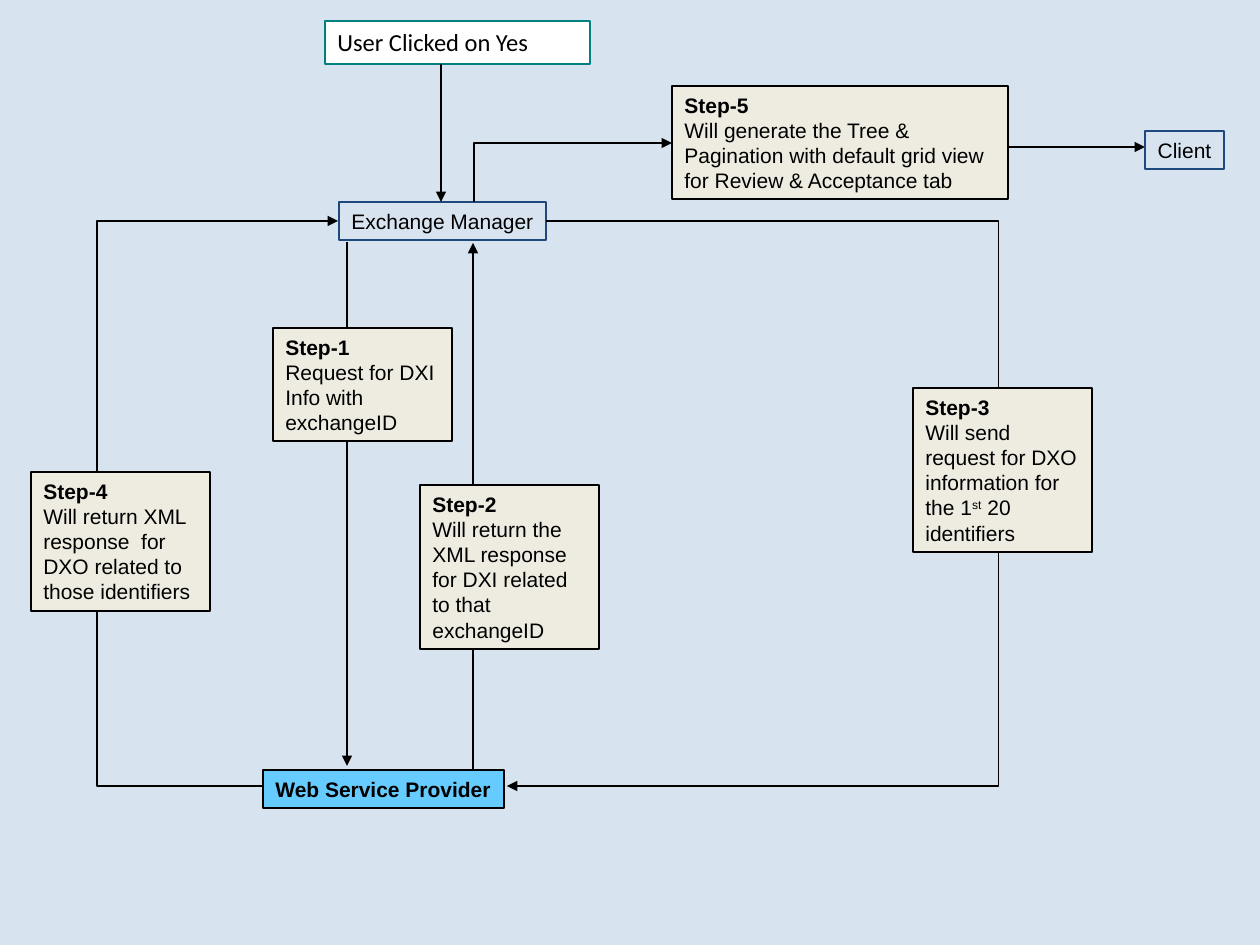
from dataclasses import dataclass

from lxml import etree
from pptx import Presentation
from pptx import util as u
from pptx.dml.color import RGBColor
from pptx.enum import shapes, text
from pptx.oxml.ns import qn

SCALE = u.Inches(1) / 126
RECT = shapes.MSO_SHAPE.RECTANGLE
PROC = shapes.MSO_SHAPE.FLOWCHART_PROCESS
LINE = shapes.MSO_CONNECTOR.STRAIGHT
ELBOW = shapes.MSO_CONNECTOR.ELBOW


@dataclass(frozen=True)
class Theme:
    back: str = "D8E3F0"
    ink: str = "000000"
    start: str = "FFFFFF"
    teal: str = "008080"
    navy: str = "1F497D"
    step: str = "EEECE1"
    host: str = "66CCFF"
    font: str = "Arial"
    head: str = "Calibri"
    size: int = 12
    big: int = 14
    rule: float = 0.75


def px(n):
    return u.Emu(round(n * SCALE))


def rgb(code):
    return RGBColor.from_string(code)


def write(para, words, font, size, color, bold=False, raised=False):
    run = para.add_run()
    run.text = words
    run.font.name = font
    run.font.size = u.Pt(size)
    run.font.bold = bold
    run.font.color.rgb = rgb(color)
    if raised:
        run.font._element.set("baseline", "30000")


class Chart:
    """Flow chart on one slide, measured in px."""

    def __init__(self, slide, theme):
        self.slide = slide
        self.theme = theme
        fill = slide.background.fill
        fill.solid()
        fill.fore_color.rgb = rgb(theme.back)

    def box(self, left, top, wide, high, fill=None, edge=None, kind=RECT, wrap=True):
        """Draw a bordered box and return its empty text frame."""
        shape = self.slide.shapes.add_shape(kind, px(left), px(top), px(wide), px(high))
        shape.shadow.inherit = False
        if fill:
            shape.fill.solid()
            shape.fill.fore_color.rgb = rgb(fill)
        else:
            shape.fill.background()
        shape.line.color.rgb = rgb(edge or self.theme.ink)
        shape.line.width = u.Pt(self.theme.rule)
        frame = shape.text_frame
        frame.word_wrap = wrap
        frame.auto_size = text.MSO_AUTO_SIZE.SHAPE_TO_FIT_TEXT
        frame.vertical_anchor = text.MSO_ANCHOR.TOP
        frame.paragraphs[0].alignment = text.PP_ALIGN.LEFT
        return frame

    def label(self, words, *area, font=None, size=None, bold=False, **look):
        t = self.theme
        para = self.box(*area, **look).paragraphs[0]
        write(para, words, font or t.font, size or t.size, t.ink, bold=bold)

    def node(self, words, *area):
        """Draw a centred label, with side margins slim enough for one line."""
        t = self.theme
        frame = self.box(*area, edge=t.navy, kind=PROC, wrap=False)
        frame.vertical_anchor = text.MSO_ANCHOR.MIDDLE
        frame.margin_left = frame.margin_right = px(8)
        para = frame.paragraphs[0]
        para.alignment = text.PP_ALIGN.CENTER
        write(para, words, t.font, t.size, t.ink)

    def step(self, num, parts, left, top, high, wide=179):
        """Draw a step note; every second part is raised."""
        t = self.theme
        frame = self.box(left, top, wide, high, fill=t.step)
        write(frame.paragraphs[0], f"Step-{num}", t.font, t.size, t.ink, bold=True)
        para = frame.add_paragraph()
        para.alignment = text.PP_ALIGN.LEFT
        for i, part in enumerate(parts):
            write(para, part, t.font, t.size, t.ink, raised=i % 2 == 1)

    def arrow(self, x1, y1, x2, y2, kind=LINE):
        link = self.slide.shapes.add_connector(kind, px(x1), px(y1), px(x2), px(y2))
        link.line.color.rgb = rgb(self.theme.ink)
        link.line.width = u.Pt(self.theme.rule)
        props = link._element.spPr
        tip = etree.SubElement(props.find(qn("a:ln")), qn("a:tailEnd"))
        tip.set("type", "triangle")
        etree.SubElement(props, qn("a:effectLst"))
        return props

    def loop(self, x1, y1, x2, y2, via):
        """Run sideways to x = via, then up or down, then back."""
        geom = self.arrow(x1, y1, x2, y2, ELBOW).find(qn("a:prstGeom"))
        bend = round((via - x1) / (x2 - x1) * 100000)
        guide = etree.SubElement(geom.get_or_add_avLst(), qn("a:gd"))
        guide.set("name", "adj1")
        guide.set("fmla", f"val {bend}")

    def rise(self, x1, y1, x2, y2):
        """Run up, then right: a right-then-down bend turned by 270 degrees."""
        midx, midy = (x1 + x2) / 2, (y1 + y2) / 2
        dx, dy = (y1 - y2) / 2, (x2 - x1) / 2
        props = self.arrow(midx - dx, midy - dy, midx + dx, midy + dy, ELBOW)
        props.find(qn("a:prstGeom")).set("prst", "bentConnector2")
        props.find(qn("a:xfrm")).set("rot", str(270 * 60000))


def main():
    deck = Presentation()
    deck.slide_width, deck.slide_height = px(1260), px(945)
    t = Theme()
    flow = Chart(deck.slides.add_slide(deck.slide_layouts[6]), t)

    flow.label("User Clicked on Yes", 325, 21, 265, 43,
               font=t.head, size=t.big, fill=t.start, edge=t.teal)
    flow.node("Exchange Manager", 339, 202, 207, 38)

    flow.arrow(441, 64, 441, 202)
    flow.arrow(473, 769, 473, 243)
    flow.loop(546, 221, 507, 786, via=999)
    flow.loop(284, 786, 338, 221, via=97)
    flow.arrow(347, 242, 347, 766)

    flow.step(1, ["Request for DXI Info with exchangeID"], 273, 328, 113)
    flow.step(2, ["Will return the XML response for DXI related to that exchangeID"],
              420, 485, 164)
    flow.step(3, ["Will send request for DXO information for the 1", "st",
                  " 20 identifiers"], 913, 388, 164)
    flow.step(4, ["Will return XML response  for DXO related to those identifiers"],
              31, 472, 139)
    flow.step(5, ["Will generate the Tree & Pagination with default grid view "
                  "for Review & Acceptance tab"], 672, 86, 113, wide=336)

    flow.rise(474, 202, 672, 143)
    flow.arrow(1008, 147, 1145, 147)
    flow.node("Client", 1145, 131, 79, 38)
    flow.label("Web Service Provider", 263, 770, 241, 38,
               bold=True, fill=t.host, wrap=False)
    deck.save("out.pptx")


if __name__ == "__main__":
    main()
